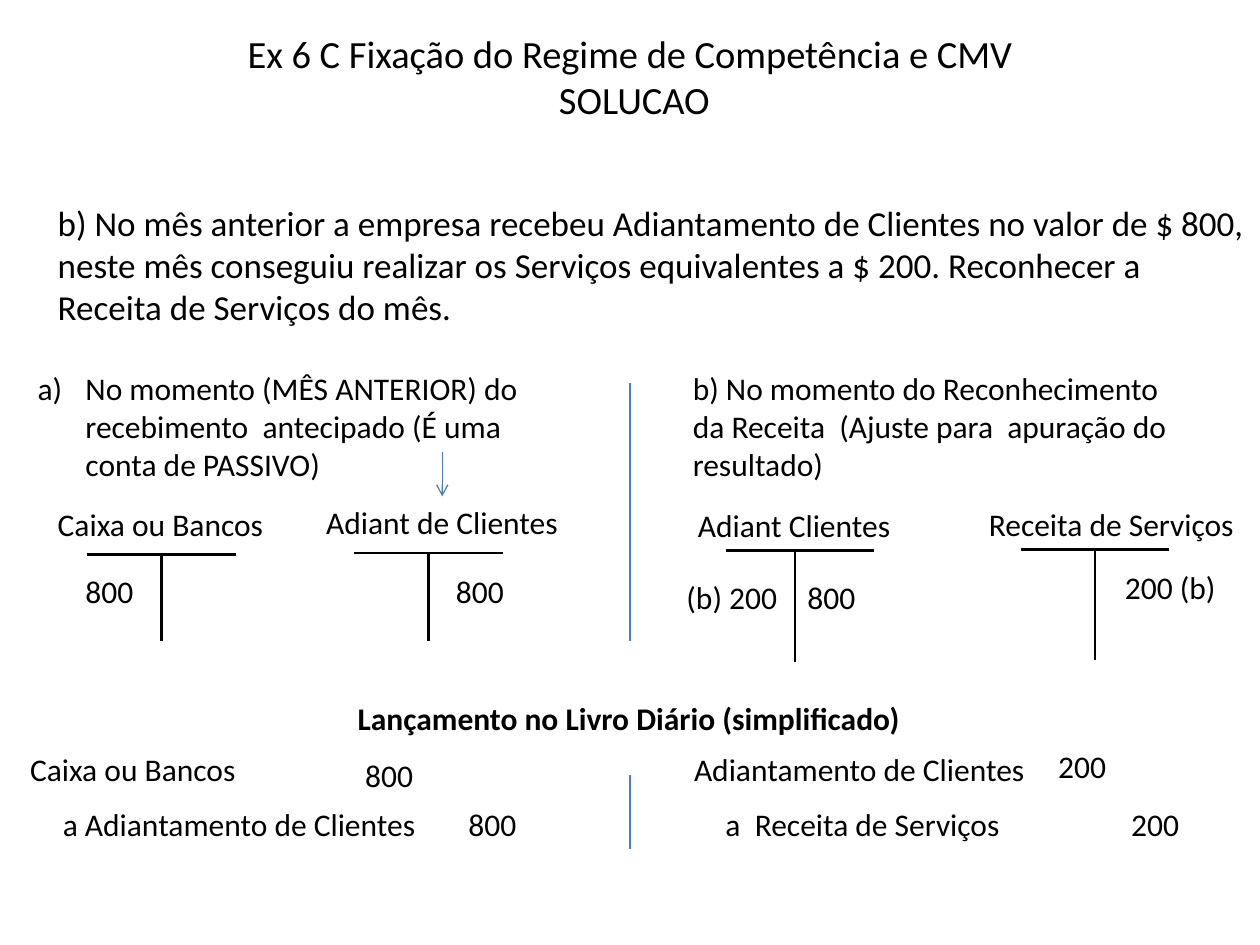
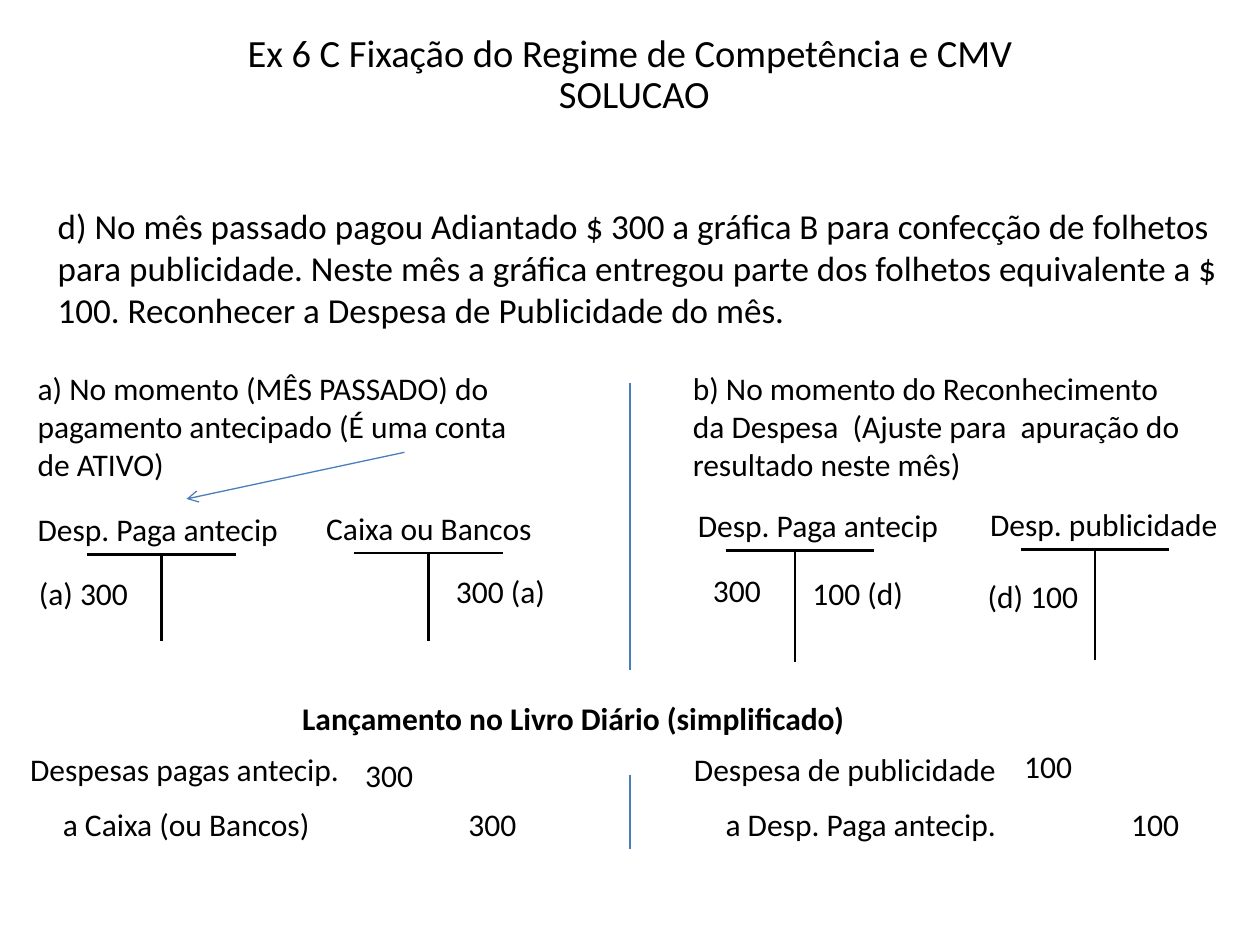
from dataclasses import dataclass

from lxml.etree import SubElement
from pptx import Presentation
from pptx.dml.color import RGBColor
from pptx.enum.shapes import MSO_CONNECTOR
from pptx.enum.text import MSO_ANCHOR, MSO_AUTO_SIZE, PP_ALIGN
from pptx.oxml.ns import qn
from pptx.util import Inches, Pt


@dataclass(frozen=True)
class Theme:
    """Colours, font and type sizes of the deck."""
    ink: RGBColor = RGBColor(0, 0, 0)
    blue: RGBColor = RGBColor(0x4A, 0x7E, 0xBB)
    face: str = "Calibri"
    title: int = 22
    body: int = 20
    text: int = 18
    thick: float = 1.5
    thin: float = 0.75


THEME = Theme()
TITLE = "Ex 6 C Fixação do Regime de Competência e CMV\v SOLUCAO"
HEAD = "Lançamento no Livro Diário (simplificado)"
SLACK = 0.05
HALVES = (0.2, 5.4)
LEDGERS = ((0.69, 4.4, 0.59, 0.69), (2.81, 4.39, 0.59, 0.7),
           (5.76, 4.37, 0.55, 0.88), (8.1, 4.36, 0.59, 0.88))
JOURNALS = ((0.14, 5.9), (5.41, 5.9))

SLIDES = (
    dict(
        title=dict(anchor=MSO_ANCHOR.MIDDLE, space=1.0),
        body=("b) No mês anterior a empresa recebeu Adiantamento de Clientes no valor de $ 800, "
              "neste mês conseguiu realizar os Serviços equivalentes a $ 200. Reconhecer a "
              "Receita de Serviços do mês.", (0.36, 1.55, 9.64, 1.1)),
        notes=(("No momento (MÊS ANTERIOR) do recebimento  antecipado (É uma conta de PASSIVO)", True),
               ("b) No momento do Reconhecimento da Receita  (Ajuste para  apuração do resultado)", False)),
        ledgers=(
            (("Caixa ou Bancos", -0.33, -0.44, 1.83), ("800", -0.11, 0.09, 0.58)),
            (("Adiant de Clientes", -0.32, -0.45, 2.04), ("800", 0.71, 0.1, 0.58)),
            (("Adiant Clientes", -0.32, -0.4, 1.73), ("(b) 200", -0.41, 0.17, 0.92),
             ("800", 0.55, 0.17, 0.58)),
            (("Receita de Serviços", -0.35, -0.4, 2.15), ("200 (b)", 0.73, 0.1, 0.92)),
        ),
        head=2.74,
        journals=(
            (("Caixa ou Bancos", 0, 0, 1.83), ("800", 2.66, 0.05, 0.58),
             ("a Adiantamento de Clientes", 0.26, 0.44, 3.01), ("800", 3.48, 0.44, 0.58)),
            (("Adiantamento de Clientes", 0, 0, 2.84), ("200", 2.89, -0.02, 0.58),
             ("a  Receita de Serviços", 0.25, 0.44, 2.38), ("200", 3.47, 0.44, 0.58)),
        ),
        split=5.09,
        arrow=(3.51, 3.59, 3.51, 3.94),
    ),
    dict(
        title=dict(anchor=MSO_ANCHOR.TOP, space=0.9),
        body=("d) No mês passado pagou Adiantado $ 300 a gráfica B para confecção de folhetos "
              "para publicidade. Neste mês a gráfica entregou parte dos folhetos equivalente a "
              "$ 100. Reconhecer a Despesa de Publicidade do mês.", (0.36, 1.57, 9.41, 1.1)),
        notes=(("a) No momento (MÊS PASSADO) do pagamento antecipado (É uma conta de ATIVO)", False),
               ("b) No momento do Reconhecimento da Despesa  (Ajuste para  apuração do "
                "resultado neste mês)", False)),
        ledgers=(
            (("Desp. Paga antecip", -0.49, -0.4, 2.12), ("(a) 300", -0.48, 0.11, 0.91)),
            (("Caixa ou Bancos", -0.32, -0.4, 1.83), ("300 (a)", 0.71, 0.1, 0.91)),
            (("Desp. Paga antecip", -0.32, -0.4, 2.12), ("300", -0.2, 0.11, 0.58),
             ("100 (d)", 0.59, 0.14, 0.92)),
            (("Desp. publicidade", -0.34, -0.4, 2.02), ("(d) 100", -0.36, 0.17, 0.92)),
        ),
        head=2.3,
        journals=(
            (("Despesas pagas antecip.", 0, 0, 2.66), ("300", 2.66, 0.05, 0.58),
             ("a Caixa (ou Bancos)", 0.26, 0.44, 2.16), ("300", 3.48, 0.44, 0.58)),
            (("Despesa de publicidade", 0, 0, 2.62), ("100", 2.62, -0.02, 0.58),
             ("a Desp. Paga antecip.", 0.25, 0.44, 2.36), ("100", 3.47, 0.44, 0.58)),
        ),
        split=5.32,
        arrow=(3.21, 3.59, 1.48, 3.96),
    ),
)


def assign(target, values):
    """Set each named value on the target."""
    for name, value in values.items():
        setattr(target, name, value)


def style(part, size, bold=False):
    """Format the font of a paragraph."""
    assign(part.font, dict(name=THEME.face, size=Pt(size), bold=bold))
    part.font.color.rgb = THEME.ink


def letter(part):
    """Give a paragraph an a) marker with a hanging indent."""
    props = part._p.get_or_add_pPr()
    props.set("marL", str(Inches(0.38)))
    props.set("indent", str(-Inches(0.38)))
    SubElement(props, qn("a:buFont"), typeface=THEME.face)
    SubElement(props, qn("a:buAutoNum"), type="alphaLcParenR")


def write(slide, text, box, size=THEME.text, bold=False, wrap=False, mark=False):
    """Add a text box of one paragraph."""
    frame = slide.shapes.add_textbox(*map(Inches, box)).text_frame
    assign(frame, dict(word_wrap=wrap, auto_size=MSO_AUTO_SIZE.SHAPE_TO_FIT_TEXT))
    part = frame.paragraphs[0]
    part.text = text
    if mark:
        letter(part)
    style(part, size, bold)


def draw(slide, ends, color=THEME.blue, width=THEME.thin, arrow=False):
    """Add a straight line, with an arrowhead if asked."""
    link = slide.shapes.add_connector(MSO_CONNECTOR.STRAIGHT, *map(Inches, ends))
    link.line.color.rgb = color
    link.line.width = Pt(width)
    if arrow:
        SubElement(link.line._get_or_add_ln(), qn("a:tailEnd"), type="arrow")
    SubElement(link._element.spPr, qn("a:effectLst"))


def add_title(slide, box, anchor, space):
    """Place and format the title."""
    shape = slide.shapes.title
    assign(shape, dict(zip(("left", "top", "width", "height"), map(Inches, box))))
    frame = shape.text_frame
    frame.text = TITLE
    assign(frame, dict(word_wrap=True, auto_size=MSO_AUTO_SIZE.NONE, vertical_anchor=anchor))
    part = frame.paragraphs[0]
    assign(part, dict(alignment=PP_ALIGN.CENTER, line_spacing=space))
    style(part, THEME.title)


def add_items(slide, left, top, items):
    """Write short texts at offsets from a corner."""
    for text, right, down, width in items:
        write(slide, text, (left + right, top + down, width + SLACK, 0.4))


def add_ledger(slide, box, items, width=1.18):
    """Draw a T account with its name and amounts."""
    left, top, stem, height = box
    mid = left + stem
    for ends in ((left, top, left + width, top), (mid, top, mid, top + height)):
        draw(slide, ends, THEME.ink, THEME.thick)
    add_items(slide, left, top, items)


def add_slide(deck, data):
    """Build one exercise slide."""
    slide = deck.slides.add_slide(deck.slide_layouts[5])
    add_title(slide, (0.5, 0.22, 9, 0.77), **data["title"])
    write(slide, *data["body"], size=THEME.body, wrap=True)
    for left, (text, mark) in zip(HALVES, data["notes"]):
        write(slide, text, (left, 2.88, 4.09, 1), wrap=True, mark=mark)
    for box, items in zip(LEDGERS, data["ledgers"]):
        add_ledger(slide, box, items)
    write(slide, HEAD, (data["head"], 5.5, 4.52, 0.4), bold=True)
    for (left, top), items in zip(JOURNALS, data["journals"]):
        add_items(slide, left, top, items)
    for top, end in ((3.04, data["split"]), (6.15, 6.74)):
        draw(slide, (5, top, 5, end))
    draw(slide, data["arrow"], arrow=True)


def main():
    """Build and save the deck."""
    deck = Presentation()
    assign(deck, dict(slide_width=Inches(10), slide_height=Inches(7.5)))
    for data in SLIDES:
        add_slide(deck, data)
    deck.save("out.pptx")


if __name__ == "__main__":
    main()
